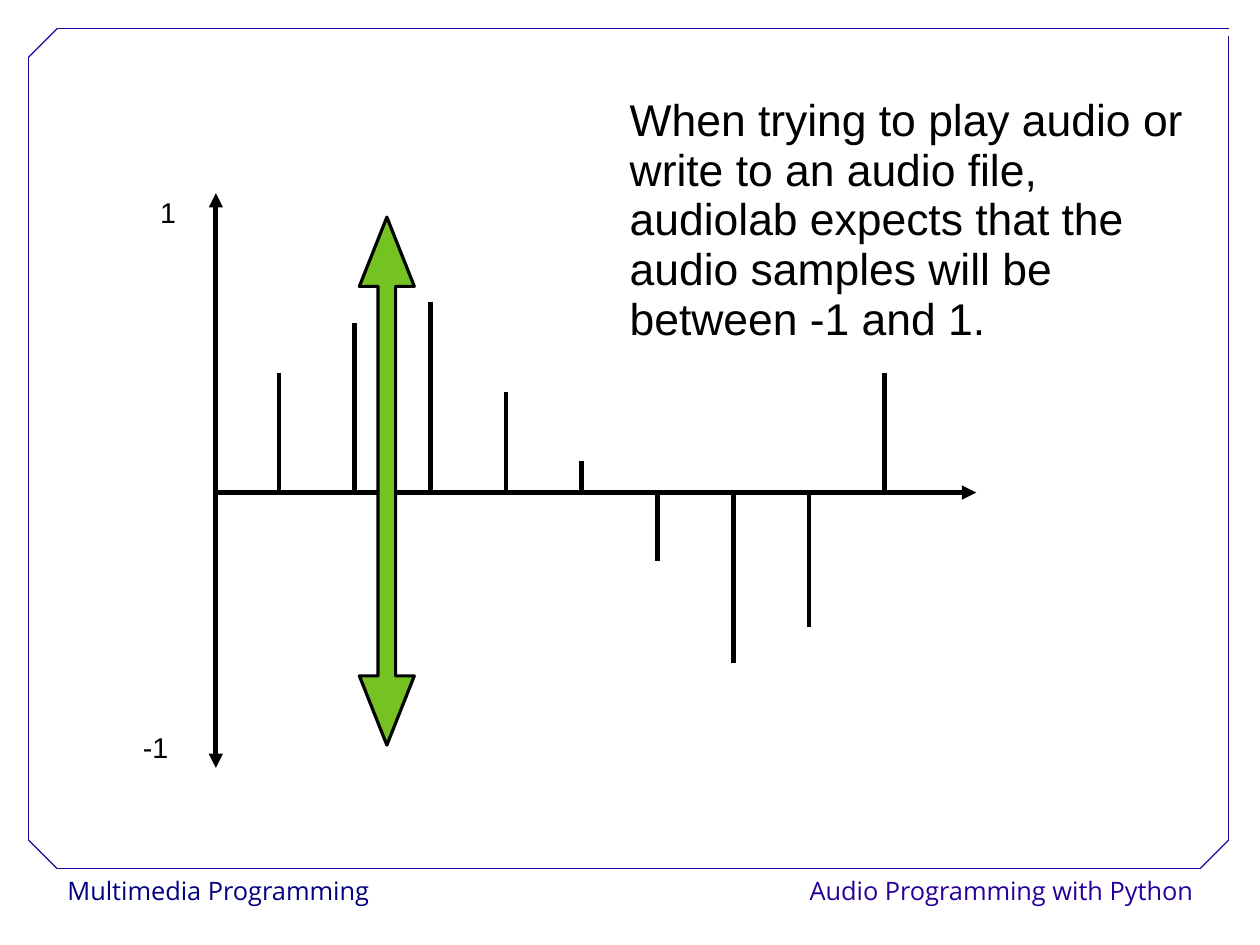
from lxml import etree
from pptx import Presentation
from pptx.dml.color import RGBColor
from pptx.enum.shapes import MSO_CONNECTOR, MSO_SHAPE
from pptx.enum.text import MSO_ANCHOR, PP_ALIGN
from pptx.oxml.ns import qn
from pptx.util import Pt

STRAIGHT = MSO_CONNECTOR.STRAIGHT
DOUBLE_ARROW = MSO_SHAPE.LEFT_RIGHT_ARROW
TOP, MIDDLE = MSO_ANCHOR.TOP, MSO_ANCHOR.MIDDLE
LEFT, RIGHT = PP_ALIGN.LEFT, PP_ALIGN.RIGHT

COLORS = {
    "ink": "000000",
    "course": "000080",
    "frame": "280099",
    "range": "75C223",
}

AXIS_X, AXIS_Y = 136, 310.3
FIRST_SAMPLE_X, SAMPLE_STEP = 175.7, 47.7
SAMPLES = [75, 106.5, 120, 63.5, 20, -43, -107.5, -84.5, 75]
FRAME_LINES = [
    (36, 547.2, 756, 547.2),
    (18, 529.2, 18, 36),
    (36, 18, 774, 18),
    (774, 529.2, 774, 23),
    (18, 36, 36, 18),
    (756, 547.2, 774, 529.2),
    (18, 529.2, 36, 547.2),
]


def rgb(name):
    return RGBColor.from_string(COLORS[name])


def add_line(slide, start, end, color="ink", width=3, heads=()):
    line = slide.shapes.add_connector(
        STRAIGHT, *(Pt(value) for value in (*start, *end)))
    line.line.color.rgb = rgb(color)
    line.line.width = Pt(width)
    outline = line.line._get_or_add_ln()
    for head in heads:
        etree.SubElement(outline, qn(f"a:{head}"), type="triangle")
    etree.SubElement(line._element.spPr, qn("a:effectLst"))


def add_text(slide, text, left, top, width, height, size=18, color="ink",
             font="Arial", spacing=0.93, align=LEFT, anchor=MIDDLE, wrap=True):
    frame = slide.shapes.add_textbox(
        Pt(left), Pt(top), Pt(width), Pt(height)).text_frame
    frame.margin_left = frame.margin_right = 0
    frame.margin_top = frame.margin_bottom = 0
    frame.word_wrap = wrap
    frame.vertical_anchor = anchor
    paragraph = frame.paragraphs[0]
    paragraph.text = text
    paragraph.alignment = align
    paragraph.line_spacing = spacing
    paragraph.font.size = Pt(size)
    paragraph.font.name = font
    paragraph.font.color.rgb = rgb(color)


def add_range_arrow(slide, center_x, center_y, length, thickness):
    arrow = slide.shapes.add_shape(
        DOUBLE_ARROW, Pt(center_x - length / 2), Pt(center_y - thickness / 2),
        Pt(length), Pt(thickness))
    arrow.rotation = 90
    arrow.adjustments[0] = 0.32
    arrow.adjustments[1] = 1.26
    arrow.shadow.inherit = False
    arrow.fill.solid()
    arrow.fill.fore_color.rgb = rgb("range")
    arrow.line.color.rgb = rgb("ink")
    arrow.line.width = Pt(2)


def add_frame(slide):
    for x1, y1, x2, y2 in FRAME_LINES:
        add_line(slide, (x1, y1), (x2, y2), color="frame", width=0.75)
    footer = dict(size=16, font="Open Sans", spacing=1.02, anchor=TOP, wrap=False)
    add_text(slide, "Multimedia Programming", 42.5, 550.8, 200, 22,
             color="course", **footer)
    add_text(slide, "Audio Programming with Python", 501.7, 550.8, 250, 22,
             color="frame", align=RIGHT, **footer)


def add_waveform(slide):
    add_line(slide, (AXIS_X, 121.7), (AXIS_X, 483.8),
             heads=("headEnd", "tailEnd"))
    add_line(slide, (AXIS_X, AXIS_Y), (615, AXIS_Y), heads=("tailEnd",))
    for index, sample in enumerate(SAMPLES):
        x = FIRST_SAMPLE_X + index * SAMPLE_STEP
        add_line(slide, (x, AXIS_Y), (x, AXIS_Y - sample))
    add_range_arrow(slide, 243.7, 303.1, 332.6, 34.6)
    add_text(slide, "1", 100.8, 124.6, 10, 20, wrap=False)
    add_text(slide, "-1", 90, 450.7, 34.6, 41.8)


def main():
    deck = Presentation()
    deck.slide_width, deck.slide_height = Pt(793.7), Pt(595.3)
    slide = deck.slides.add_slide(deck.slide_layouts[6])
    add_frame(slide)
    add_waveform(slide)
    add_text(slide, "When trying to play audio or write to an audio file, "
             "audiolab expects that the audio samples will be between -1 and 1.",
             396.7, 62.6, 355, 153.4, size=28)
    deck.save("out.pptx")


if __name__ == "__main__":
    main()
